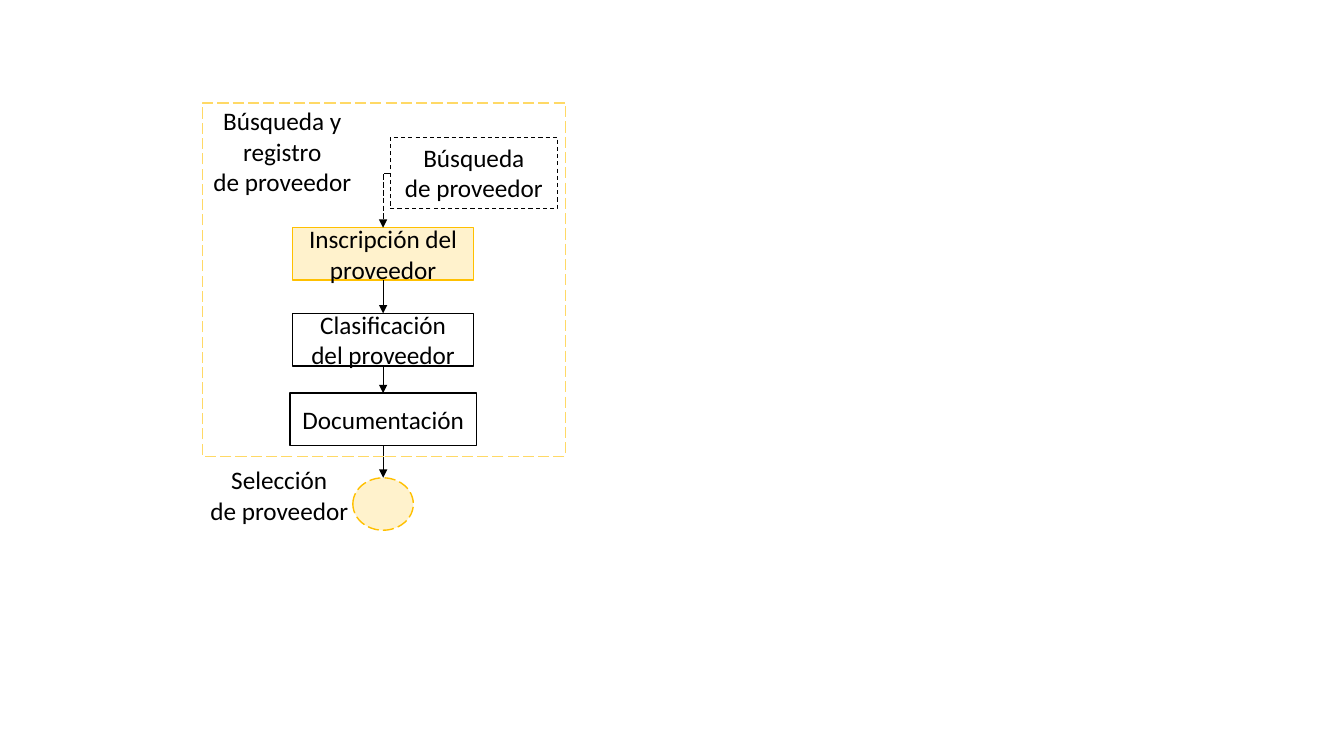
from itertools import pairwise

from pptx import Presentation
from pptx.dml.color import RGBColor
from pptx.enum.dml import MSO_LINE
from pptx.enum.shapes import MSO_CONNECTOR, MSO_SHAPE
from pptx.enum.text import MSO_ANCHOR, PP_ALIGN
from pptx.oxml.ns import qn
from pptx.oxml.xmlchemy import OxmlElement
from pptx.util import Inches, Pt

COLORS = {"ink": "000000", "gold": "FFC000", "cream": "FFF2CC", "sand": "FFD966"}


def color(name):
    """Return the named colour."""
    return RGBColor.from_string(COLORS[name])


def write(shape, lines, anchor):
    """Fill a shape with centred lines."""
    frame = shape.text_frame
    frame.word_wrap = True
    frame.vertical_anchor = anchor
    frame.text = "\n".join(lines)
    for para in frame.paragraphs:
        para.alignment = PP_ALIGN.CENTER
        para.font.name = "Calibri"
        para.font.size = Pt(18)
        para.font.color.rgb = color("ink")


def add_form(slide, box, edge, fill=None, dash=None, width=1, kind=MSO_SHAPE.RECTANGLE):
    """Draw an outlined shape in the given box."""
    form = slide.shapes.add_shape(kind, *map(Inches, box))
    form.shadow.inherit = False
    if fill:
        form.fill.solid()
        form.fill.fore_color.rgb = color(fill)
    else:
        form.fill.background()
    form.line.color.rgb = color(edge)
    form.line.width = Pt(width)
    if dash:
        form.line.dash_style = dash
    return form


def add_label(slide, box, lines):
    """Place a free label in the given box."""
    write(slide.shapes.add_textbox(*map(Inches, box)), lines, MSO_ANCHOR.TOP)


def add_arrow(slide, start, end, bent=False):
    """Draw a straight arrow, or a dashed one with a single bend."""
    kind = MSO_CONNECTOR.ELBOW if bent else MSO_CONNECTOR.STRAIGHT
    arrow = slide.shapes.add_connector(kind, *map(Inches, start + end))
    arrow.line.color.rgb = color("ink")
    arrow.line.width = Pt(0.5)
    props = arrow._element.spPr
    if bent:
        arrow.line.dash_style = MSO_LINE.LONG_DASH
        props.find(qn("a:prstGeom")).set("prst", "bentConnector2")
    tip = OxmlElement("a:tailEnd")
    tip.set("type", "triangle")
    props.find(qn("a:ln")).append(tip)
    props.append(OxmlElement("a:effectLst"))


def add_steps(slide, left, top):
    """Stack the steps and the end circle on one axis, joined by arrows."""
    axis, high = left + 1.79, 0.52
    steps = [
        (1.24, 1.8, "Inscripción del proveedor", "gold", "cream"),
        (2.09, 1.8, "Clasificación del proveedor", "ink", None),
        (2.88, 1.85, "Documentación", "ink", None),
    ]
    for drop, wide, text, edge, fill in steps:
        box = (axis - wide / 2, top + drop, wide, high)
        write(add_form(slide, box, edge, fill), [text], MSO_ANCHOR.MIDDLE)
    end = 3.72
    add_form(slide, (axis - 0.3, top + end, 0.6, high), "gold", "cream",
             MSO_LINE.LONG_DASH, kind=MSO_SHAPE.OVAL)
    for drop, below in pairwise([step[0] for step in steps] + [end]):
        add_arrow(slide, (axis, top + drop + high), (axis, top + below))


def add_search(slide, left, top):
    """Place the search box and its bent arrow to the first step."""
    box = (left + 1.86, top + 0.34, 1.66, 0.71)
    form = add_form(slide, box, "ink", dash=MSO_LINE.DASH, width=0.75)
    write(form, ["Búsqueda", "de proveedor"], MSO_ANCHOR.TOP)
    add_arrow(slide, (left + 1.86, top + 0.7), (left + 1.79, top + 1.24), bent=True)


def add_flow(slide, left, top, wide, high):
    """Draw the supplier flow with its frame and labels."""
    add_steps(slide, left, top)
    add_label(slide, (left - 0.05, top + 3.54, 1.62, 0.71),
              ["Selección", "de proveedor"])
    add_search(slide, left, top)
    add_form(slide, (left, top, wide, high), "sand", dash=MSO_LINE.LONG_DASH)
    add_label(slide, (left - 0.02, top - 0.02, 1.62, 1.01),
              ["Búsqueda y registro", "de proveedor"])


def main():
    """Build and save the slide."""
    deck = Presentation()
    deck.slide_width, deck.slide_height = Inches(13.33), Inches(7.5)
    slide = deck.slides.add_slide(deck.slide_layouts[6])
    add_flow(slide, 2.01, 1.02, 3.6, 3.51)
    deck.save("out.pptx")


if __name__ == "__main__":
    main()
